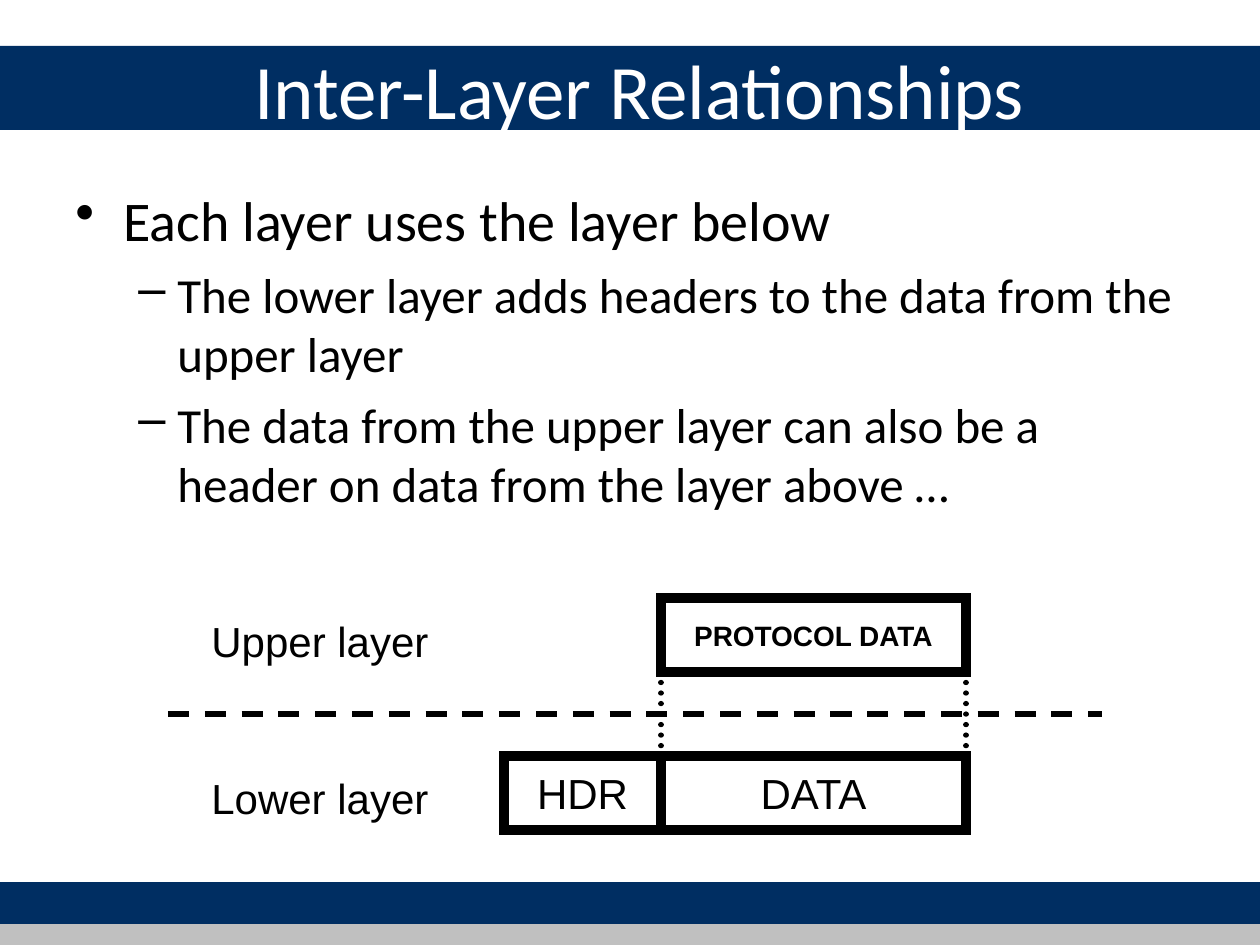
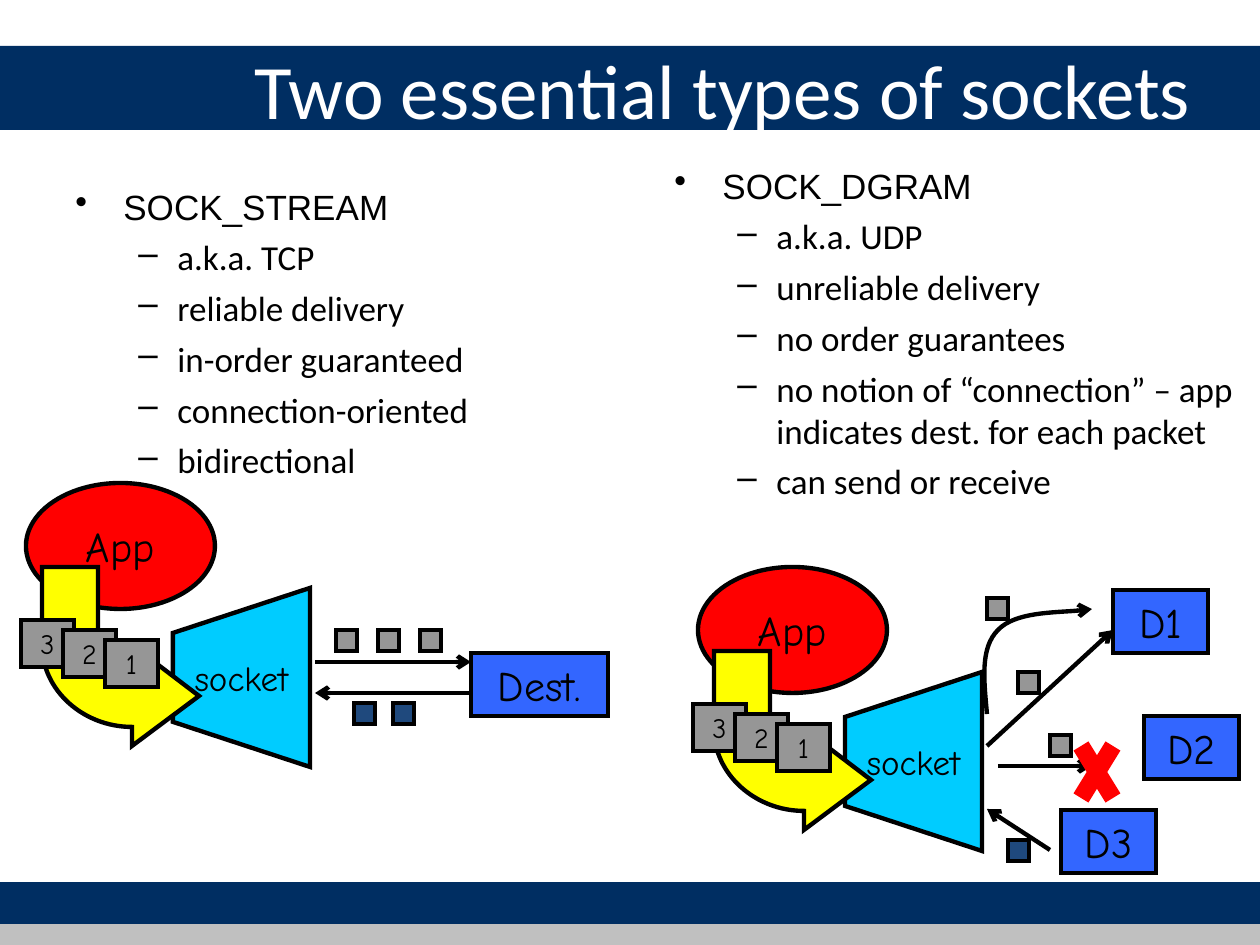
"""Build two networking slides: layer relationships and socket types."""
from lxml.etree import SubElement, Element
from pptx import Presentation
from pptx.dml.color import RGBColor
from pptx.enum.dml import MSO_LINE
from pptx.enum.shapes import MSO_CONNECTOR, MSO_SHAPE
from pptx.enum.text import MSO_ANCHOR, PP_ALIGN
from pptx.oxml.ns import qn
from pptx.util import Pt

SCALE = 914400 / 126
COLORS = {
    "black": "000000", "white": "FFFFFF", "navy": "002E62", "silver": "C0C0C0",
    "red": "FF0000", "yellow": "FFFF00", "cyan": "00CCFF", "grey": "969696",
    "blue": "3366FF", "reply": "1F497D",
}
BANDS = [((0, 882, 1260, 42), "navy"), ((0, 46, 1260, 84), "navy"), ((0, 924, 1260, 21), "silver")]
TITLE_AREA = (242, 10, 998, 157)
BULLETS = [("•", 48, 48), ("–", 102, 39)]
HAND_FONT = "Comic Neue"

LAYERS = {
    "title": "Inter-Layer Relationships",
    "area": (63, 179, 1134, 665),
    "bullets": [
        (0, "Each layer uses the layer below", 32, "Calibri", 8),
        (1, "The lower layer adds headers to the data from the upper layer", 28, "Calibri", 7),
        (1, "The data from the upper layer can also be a header on data from the layer above …",
         28, "Calibri", 7),
    ],
    "boxes": [
        ("PROTOCOL DATA", (661, 598, 305, 74), 16, True),
        ("DATA", (661, 756, 305, 74), 24, False),
        ("HDR", (504, 756, 157, 74), 24, False),
    ],
    "labels": [("Upper layer", (199, 609, 262, 63)), ("Lower layer", (199, 766, 262, 63))],
    "boundary": ((168, 714), (1102, 714)),
    "guides": [((x, 672), (x, 756)) for x in (661, 966)],
}

SOCKETS_TITLE = "Two essential types of sockets"
SOCKETS = [
    {
        "name": "SOCK_STREAM",
        "traits": ["a.k.a. TCP", "reliable delivery", "in-order guaranteed",
                   "connection-oriented", "bidirectional"],
        "area": (63, 179, 557, 665),
        "sender_shift": (0, 0),
        "packets": [(336, 630), (378, 630), (420, 630)],
        "replies": [(354, 703), (393, 703)],
        "arrows": [((315, 662), (471, 662)), ((471, 693), (315, 693))],
        "targets": [("Dest.", (471, 653, 137, 63))],
    },
    {
        "name": "SOCK_DGRAM",
        "traits": ["a.k.a. UDP", "unreliable delivery", "no order guarantees",
                   "no notion of “connection” – app indicates dest. for each packet",
                   "can send or receive"],
        "area": (662, 158, 598, 640),
        "sender_shift": (672, 84),
        "packets": [(987, 598), (1018, 672), (1050, 735)],
        "replies": [(1008, 840)],
        "arrows": [((987, 746), (1113, 630)), ((998, 766), (1092, 766)), ((1050, 850), (987, 809))],
        "targets": [("D1", (1113, 590, 95, 63)), ("D3", (1061, 810, 95, 63)),
                    ("D2", (1144, 716, 95, 63))],
    },
]
CROSS = [((1081, 746), (1113, 798)), ((1113, 746), (1081, 798))]
DETOUR = [(987, 714), (984, 680), (980, 648), (998, 630), (1015, 612), (1076, 612), (1092, 609)]
FUNNEL = [(310, 588), (173, 633), (173, 722), (310, 767)]
BENT_ARROW = [(199, 696), (132, 746), (132, 727), (83, 727), (42, 690), (42, 645), (42, 567),
              (98, 567), (98, 645), (98, 655), (113, 664), (132, 664), (132, 645)]


def emu(*lengths):
    return [round(length * SCALE) for length in lengths]


def rgb(color):
    return RGBColor.from_string(COLORS[color])


def style_font(para, size, face, color="black", bold=False):
    font = para.font
    font.size, font.name, font.bold = Pt(size), face, bold
    font.color.rgb = rgb(color)


def paint(shape, fill=None, width=None):
    shape.shadow.inherit = False
    if fill:
        shape.fill.solid()
        shape.fill.fore_color.rgb = rgb(fill)
    else:
        shape.fill.background()
    if width:
        shape.line.width = Pt(width)
        shape.line.color.rgb = rgb("black")
        SubElement(shape.line._get_or_add_ln(), qn("a:miter"), lim="800000")
    else:
        shape.line.fill.background()


def write_inside(shape, text, size, face, bold=False):
    frame = shape.text_frame
    frame.word_wrap = False
    frame.vertical_anchor = MSO_ANCHOR.MIDDLE
    para = frame.paragraphs[0]
    para.text, para.alignment = text, PP_ALIGN.CENTER
    style_font(para, size, face, bold=bold)


def add_box(page, area, fill=None, width=None, kind=MSO_SHAPE.RECTANGLE):
    box = page.shapes.add_shape(kind, *emu(*area))
    paint(box, fill, width)
    return box


def add_text(page, area, text, size, face, color="black"):
    frame = page.shapes.add_textbox(*emu(*area)).text_frame
    frame.word_wrap = True
    para = frame.paragraphs[0]
    para.text = text
    style_font(para, size, face, color)
    return frame


def add_bullets(page, area, items):
    frame = page.shapes.add_textbox(*emu(*area)).text_frame
    frame.word_wrap = True
    for index, (level, text, size, face, gap) in enumerate(items):
        para = frame.add_paragraph() if index else frame.paragraphs[0]
        para.text, para.level = text, level
        if index:
            para.space_before = Pt(gap)
        mark, margin, hang = BULLETS[level]
        props = para._p.get_or_add_pPr()
        left, indent = emu(margin, -hang)
        props.set("marL", str(left))
        props.set("indent", str(indent))
        SubElement(props, qn("a:buChar"), char=mark)
        style_font(para, size, face)


def add_arrowhead(line):
    SubElement(line._get_or_add_ln(), qn("a:tailEnd"), type="arrow")


def add_line(page, ends, width, color="black", dash=None, arrow=False):
    start, end = ends
    link = page.shapes.add_connector(MSO_CONNECTOR.STRAIGHT, *emu(*start, *end))
    SubElement(link._element.spPr, qn("a:effectLst"))
    link.line.width = Pt(width)
    link.line.color.rgb = rgb(color)
    if dash:
        link.line.dash_style = dash
    if arrow:
        add_arrowhead(link.line)
    return link


def add_outline(page, points, fill=None, curves=(), closed=True):
    builder = page.shapes.build_freeform(*points[0], scale=SCALE)
    builder.add_line_segments(points[1:], close=closed)
    shape = builder.convert_to_shape()
    segments = list(shape._element.iter(qn("a:lnTo")))
    for first in curves:
        curve = Element(qn("a:cubicBezTo"))
        segments[first].addprevious(curve)
        for segment in segments[first:first + 3]:
            curve.append(segment[0])
            segment.getparent().remove(segment)
    paint(shape, fill, 2.5)
    return shape


def add_page(deck, title):
    page = deck.slides.add_slide(deck.slide_layouts[6])
    for area, color in BANDS:
        add_box(page, area, color)
    frame = add_text(page, TITLE_AREA, title, 44, "Calibri", "white")
    frame.vertical_anchor = MSO_ANCHOR.MIDDLE
    return page


def draw_layers(deck):
    page = add_page(deck, LAYERS["title"])
    add_bullets(page, LAYERS["area"], LAYERS["bullets"])
    for text, area, size, bold in LAYERS["boxes"]:
        write_inside(add_box(page, area, width=6), text, size, "Arial", bold)
    for text, area in LAYERS["labels"]:
        add_text(page, area, text, 24, "Arial")
    add_line(page, LAYERS["boundary"], 3, dash=MSO_LINE.DASH)
    for ends in LAYERS["guides"]:
        guide = add_line(page, ends, 3, dash=MSO_LINE.ROUND_DOT)
        guide.line._get_or_add_ln().set("cap", "rnd")


def draw_sender(page, dx, dy):
    def shifted(points):
        return [(x + dx, y + dy) for x, y in points]

    app = add_box(page, (26 + dx, 483 + dy, 189, 126), "red", 2.5, MSO_SHAPE.OVAL)
    write_inside(app, "App", 24, HAND_FONT)
    write_inside(add_outline(page, shifted(FUNNEL), "cyan"), "socket", 20, HAND_FONT)
    add_outline(page, shifted(BENT_ARROW), "yellow", curves=(2, 8))
    for step, number in enumerate("321"):
        packet = add_box(page, (21 + 42 * step + dx, 620 + 10 * step + dy, 53, 47), "grey", 2.5)
        write_inside(packet, number, 16, HAND_FONT)


def draw_sockets(deck):
    page = add_page(deck, SOCKETS_TITLE)
    for socket in SOCKETS:
        items = [(0, socket["name"], 20, "Arial", 5)]
        items += [(1, trait, 20, "Calibri", 5) for trait in socket["traits"]]
        add_bullets(page, socket["area"], items)
    for socket in SOCKETS:
        draw_sender(page, *socket["sender_shift"])
        for color, group in (("grey", "packets"), ("reply", "replies")):
            for corner in socket[group]:
                add_box(page, (*corner, 21, 21), color, 2.5)
        for ends in socket["arrows"]:
            add_line(page, ends, 2.5, arrow=True)
        for text, area in socket["targets"]:
            write_inside(add_box(page, area, "blue", 2.5), text, 24, HAND_FONT)
    add_arrowhead(add_outline(page, DETOUR, curves=(0, 3), closed=False).line)
    for ends in CROSS:
        add_line(page, ends, 10, "red")


def main():
    deck = Presentation()
    deck.slide_width, deck.slide_height = emu(1260, 945)
    draw_layers(deck)
    draw_sockets(deck)
    deck.save("out.pptx")


if __name__ == "__main__":
    main()
